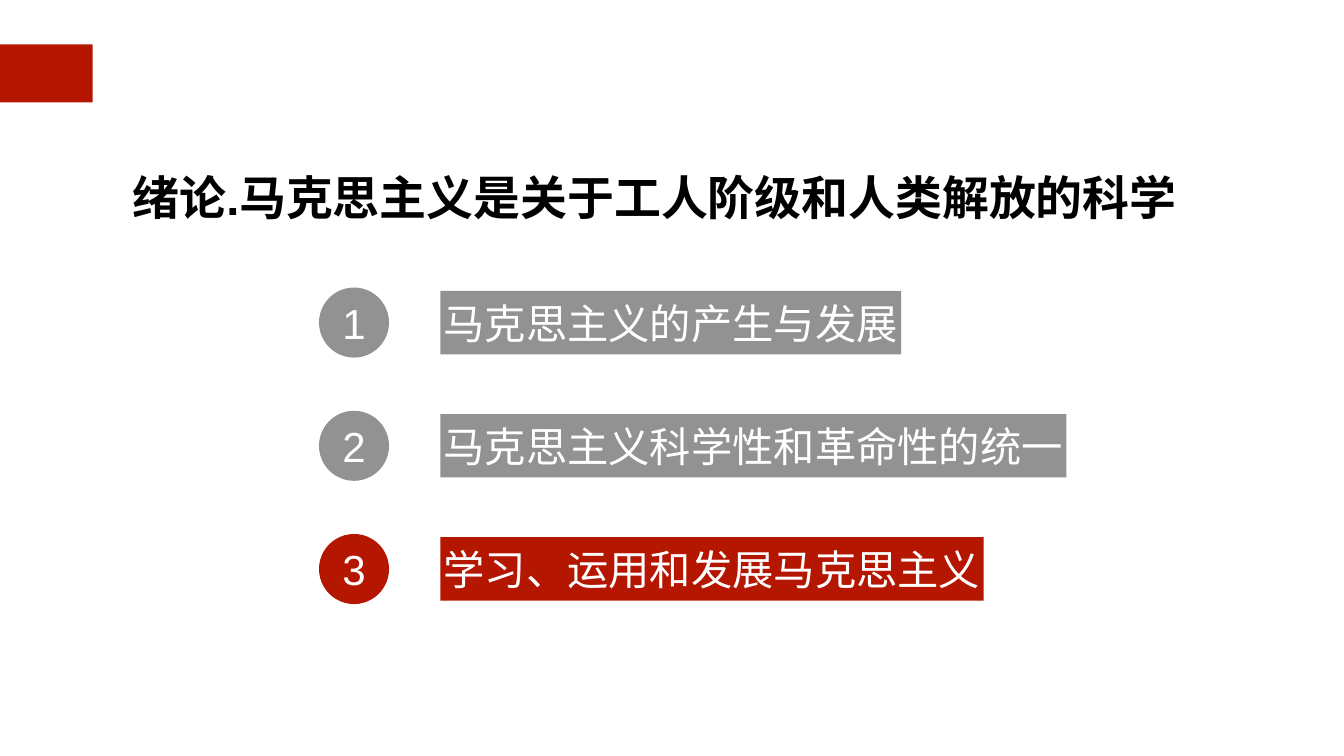
from pptx import Presentation
from pptx.dml.color import RGBColor
from pptx.enum.shapes import MSO_SHAPE
from pptx.enum.text import MSO_ANCHOR, MSO_AUTO_SIZE, PP_ALIGN
from pptx.util import Inches, Pt

COLORS = {"red": "B51600", "gray": "929292", "white": "FFFFFF", "black": "000000"}
TITLE = "绪论.马克思主义是关于工人阶级和人类解放的科学"
SECTIONS = [
    ("马克思主义的产生与发展", "gray"),
    ("马克思主义科学性和革命性的统一", "gray"),
    ("学习、运用和发展马克思主义", "red"),
]
FIRST_CENTER = 6.4
ROW_STEP = 2.445
CIRCLE_LEFT = 6.33
CIRCLE_SIZE = 1.39
LABEL_LEFT = 8.74
LABEL_HEIGHT = 1.26
GLYPH_WIDTH = 0.82
INSET = 0.06


def apply_format(target, values):
    for name, value in values.items():
        setattr(target, name, value)


def write_text(shape, text, color, inset, frame_format, para_format, font_format):
    frame = shape.text_frame
    margins = ("margin_left", "margin_top", "margin_right", "margin_bottom")
    apply_format(frame, dict.fromkeys(margins, Inches(inset)))
    apply_format(frame, {"vertical_anchor": MSO_ANCHOR.MIDDLE, **frame_format})
    para = frame.paragraphs[0]
    apply_format(para, para_format)
    span = para.add_run()
    span.text = text
    apply_format(span.font, {"name": "Arial", **font_format})
    span.font.color.rgb = RGBColor.from_string(COLORS[color])


def add_filled_shape(page, kind, left, top, width, height, color):
    shape = page.shapes.add_shape(
        kind, Inches(left), Inches(top), Inches(width), Inches(height)
    )
    shape.shadow.inherit = False
    shape.fill.solid()
    shape.fill.fore_color.rgb = RGBColor.from_string(COLORS[color])
    shape.line.fill.background()
    return shape


def set_title(page):
    title = page.shapes.title
    apply_format(title, {
        "left": Inches(2.57), "top": Inches(2.82),
        "width": Inches(21.05), "height": Inches(1.59),
    })
    write_text(
        title, TITLE, "black", INSET,
        {"word_wrap": True, "auto_size": MSO_AUTO_SIZE.NONE},
        {"alignment": PP_ALIGN.LEFT, "line_spacing": 1.5, "space_before": Pt(0)},
        {"size": Pt(67), "bold": True},
    )


def add_section(page, number, text, color):
    center = FIRST_CENTER + (number - 1) * ROW_STEP
    centered = {"alignment": PP_ALIGN.CENTER}
    circle = add_filled_shape(
        page, MSO_SHAPE.OVAL, CIRCLE_LEFT, center - CIRCLE_SIZE / 2,
        CIRCLE_SIZE, CIRCLE_SIZE, color,
    )
    write_text(circle, str(number), "white", 0, {"word_wrap": True},
               centered, {"size": Pt(60)})
    label = add_filled_shape(
        page, MSO_SHAPE.RECTANGLE, LABEL_LEFT, center - LABEL_HEIGHT / 2,
        len(text) * GLYPH_WIDTH + 2 * INSET, LABEL_HEIGHT, color,
    )
    write_text(label, text, "white", INSET, {"word_wrap": False},
               centered, {"size": Pt(59)})


def main():
    deck = Presentation()
    apply_format(deck, {"slide_width": Inches(26.67), "slide_height": Inches(15)})
    page = deck.slides.add_slide(deck.slide_layouts.get_by_name("Title Only"))
    add_filled_shape(page, MSO_SHAPE.RECTANGLE, -0.03, 0.88, 1.87, 1.15, "red")
    set_title(page)
    for number, (text, color) in enumerate(SECTIONS, start=1):
        add_section(page, number, text, color)
    deck.save("out.pptx")


if __name__ == "__main__":
    main()
